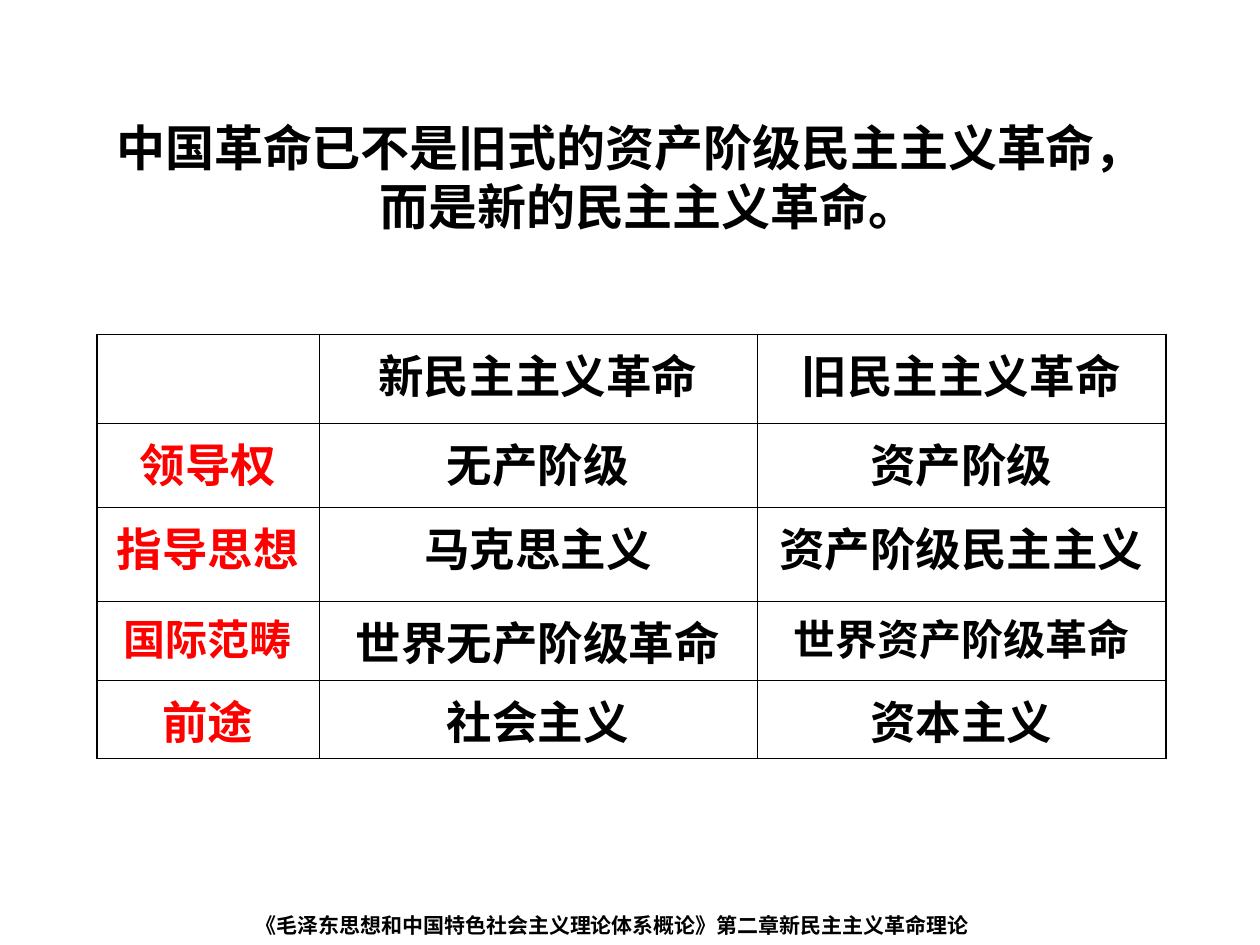
from lxml import etree
from pptx import Presentation
from pptx.dml.color import RGBColor
from pptx.enum.shapes import MSO_SHAPE
from pptx.enum.text import MSO_ANCHOR, MSO_AUTO_SIZE, PP_ALIGN
from pptx.oxml.ns import qn
from pptx.util import Emu, Pt

RECTANGLE = MSO_SHAPE.RECTANGLE
TOP = MSO_ANCHOR.TOP
GROW = MSO_AUTO_SIZE.SHAPE_TO_FIT_TEXT
LEFT, CENTER = PP_ALIGN.LEFT, PP_ALIGN.CENTER

BLACK = RGBColor(0x00, 0x00, 0x00)
RED = RGBColor(0xFF, 0x00, 0x00)
WHITE = RGBColor(0xFF, 0xFF, 0xFF)
CJK_FONT = "Noto Sans CJK SC"
THIN, THICK = Pt(0.45), Pt(1.08)


def px(count):
    return Emu(round(count * 914400 / 126))


def write(text_frame, text, size=26, color=BLACK, align=CENTER, latin=CJK_FONT, spacing=1.0):
    text_frame.word_wrap = True
    paragraph = text_frame.paragraphs[0]
    paragraph.alignment = align
    paragraph.line_spacing = spacing
    run = paragraph.add_run()
    run.text = text
    run.font.size = Pt(size)
    run.font.bold = True
    run.font.color.rgb = color
    run.font.name = latin
    etree.SubElement(run._r.get_or_add_rPr(), qn("a:ea"), typeface=CJK_FONT)
    return paragraph


presentation = Presentation()
presentation.slide_width = px(1260)
presentation.slide_height = px(945)
slide = presentation.slides.add_slide(presentation.slide_layouts[6])

# Comparison table
rows = [
    ("", "新民主主义革命", "旧民主主义革命"),
    ("领导权", "无产阶级", "资产阶级"),
    ("指导思想", "马克思主义", "资产阶级民主主义"),
    ("国际范畴", "世界无产阶级革命", "世界资产阶级革命"),
    ("前途", "社会主义", "资本主义"),
]
column_widths = [222, 438, 409]
row_heights = [89, 84, 94, 79, 68]
smaller_texts = ("国际范畴", "世界资产阶级革命")
table = slide.shapes.add_table(
    len(rows), len(column_widths), px(97), px(334),
    px(sum(column_widths)), px(sum(row_heights))).table
table.first_row = False
table.horz_banding = False
for column, width in zip(table.columns, column_widths):
    column.width = px(width)
for row, height in zip(table.rows, row_heights):
    row.height = px(height)

for row_index, texts in enumerate(rows):
    for column_index, text in enumerate(texts):
        cell = table.cell(row_index, column_index)
        borders = {
            "a:lnL": THICK if column_index == 0 else THIN,
            "a:lnR": THICK if column_index == len(texts) - 1 else THIN,
            "a:lnT": THIN,
            "a:lnB": THICK if row_index == len(rows) - 1 else THIN,
        }
        properties = cell._tc.get_or_add_tcPr()
        for tag, width in borders.items():
            line = etree.SubElement(properties, qn(tag), w=str(int(width)))
            fill = etree.SubElement(line, qn("a:solidFill"))
            etree.SubElement(fill, qn("a:srgbClr"), val=str(BLACK))
        cell.fill.background()
        if text:
            write(cell.text_frame, text,
                  size=24 if text in smaller_texts else 26,
                  color=RED if column_index == 0 else BLACK)

# Statement above the table
statement = slide.shapes.add_textbox(px(84), px(111), px(1081), px(223))
paragraph = write(statement.text_frame,
                  " 中国革命已不是旧式的资产阶级民主主义革命，而是新的民主主义革命。", size=28)
indent = px(48)
paragraph_properties = paragraph._p.get_or_add_pPr()
paragraph_properties.set("marL", str(indent))
paragraph_properties.set("indent", str(-indent))

# Chapter line at the bottom
footer = slide.shapes.add_shape(RECTANGLE, px(243), px(903), px(804), px(42))
footer.shadow.inherit = False
footer.fill.solid()
footer.fill.fore_color.rgb = WHITE
footer.line.fill.background()
footer.text_frame.vertical_anchor = TOP
footer.text_frame.auto_size = GROW
write(footer.text_frame, "《毛泽东思想和中国特色社会主义理论体系概论》第二章新民主主义革命理论",
      size=12, align=LEFT, latin="Arial", spacing=1.15)

presentation.save("out.pptx")
